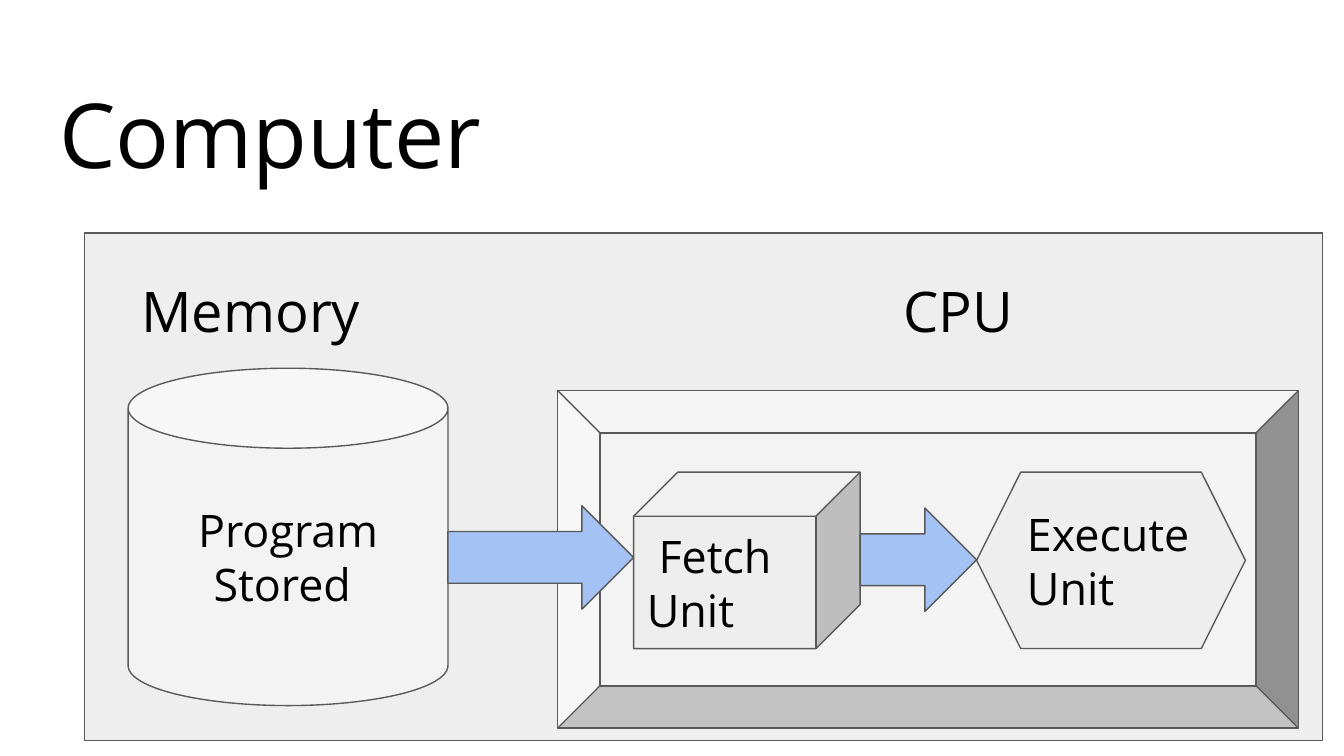
from dataclasses import dataclass

from pptx import Presentation, util as u
from pptx.dml.color import RGBColor
from pptx.enum import shapes, text

CELL = 0.1  # inches per grid column and row
COLOURS = {
    "ink": "000000",
    "outline": "595959",
    "panel": "EEEEEE",
    "light": "F3F3F3",
    "arrow": "A4C2F4",
}
SHAPE = shapes.MSO_SHAPE


@dataclass(frozen=True)
class Area:
    """A place on the slide, in grid columns and rows."""
    column: float
    row: float
    columns: float
    rows: float

    @property
    def right(self) -> float:
        return self.column + self.columns


@dataclass(frozen=True)
class Part:
    kind: SHAPE
    area: Area
    fill: str
    lines: tuple[str, ...] = ()
    align: text.PP_ALIGN = text.PP_ALIGN.LEFT
    first_indent: float = 0


@dataclass(frozen=True)
class Label:
    words: str
    area: Area
    size: int


def cells(count: float) -> u.Length:
    return u.Inches(count * CELL)


def place(area: Area) -> list[u.Length]:
    return [cells(n) for n in (area.column, area.row, area.columns, area.rows)]


def colour(name: str) -> RGBColor:
    return RGBColor.from_string(COLOURS[name])


def write(box, lines: tuple[str, ...], *, size: int = 24,
          align: text.PP_ALIGN = text.PP_ALIGN.LEFT,
          anchor: text.MSO_ANCHOR = text.MSO_ANCHOR.TOP,
          first_indent: float = 0) -> None:
    frame = box.text_frame
    frame.word_wrap = True
    frame.vertical_anchor = anchor
    frame.margin_left = frame.margin_right = cells(1)
    frame.margin_top = frame.margin_bottom = cells(1)
    for index, line in enumerate(lines):
        para = frame.add_paragraph() if index else frame.paragraphs[0]
        para.alignment = align
        if first_indent and not index:
            para._p.get_or_add_pPr().set("indent", str(cells(first_indent)))
        span = para.add_run()
        span.text = line
        span.font.name = "Open Sans"
        span.font.size = u.Pt(size)
        span.font.color.rgb = colour("ink")


def draw_part(page, part: Part) -> None:
    box = page.shapes.add_shape(part.kind, *place(part.area))
    box.shadow.inherit = False
    box.fill.solid()
    box.fill.fore_color.rgb = colour(part.fill)
    box.line.color.rgb = colour("outline")
    box.line.width = u.Pt(0.75)
    if part.lines:
        write(box, part.lines, align=part.align, first_indent=part.first_indent,
              anchor=text.MSO_ANCHOR.MIDDLE)


def draw_label(page, label: Label) -> None:
    box = page.shapes.add_textbox(*place(label.area))
    write(box, (label.words,), size=label.size)


def arrow_between(start: Area, end: Area, row: float) -> Part:
    area = Area(start.right, row, end.column - start.right, 7.7)
    return Part(SHAPE.RIGHT_ARROW, area, "arrow")


MEMORY = Area(9.53, 27.4, 23.8, 25.1)
FETCH = Area(47.15, 35.13, 16.85, 13.13)
EXECUTE = Area(72.67, 35.13, 20, 13.13)

PARTS = (
    Part(SHAPE.RECTANGLE, Area(6.3, 17.35, 92.1, 37.75), "panel"),
    Part(SHAPE.CAN, MEMORY, "light", ("Program Stored ",), text.PP_ALIGN.CENTER),
    Part(SHAPE.BEVEL, Area(41.5, 29.07, 55.1, 25.1), "light"),
    Part(SHAPE.CUBE, FETCH, "panel", ("Fetch", "Unit"), first_indent=0.87),
    Part(SHAPE.HEXAGON, EXECUTE, "panel", ("Execute Unit",)),
    arrow_between(MEMORY, FETCH, 37.63),
    arrow_between(FETCH, EXECUTE, 37.8),
)
LABELS = (
    Label("Computer", Area(3.41, 4.9, 93.2, 13.1), 48),
    Label("Memory", Area(9.53, 19.6, 31.9, 5.5), 30),
    Label("CPU", Area(66.23, 19.6, 13.8, 5.5), 30),
)


def main() -> None:
    deck = Presentation()
    deck.slide_width, deck.slide_height = cells(100), cells(56.25)
    page = deck.slides.add_slide(deck.slide_layouts[6])
    for part in PARTS:
        draw_part(page, part)
    for label in LABELS:
        draw_label(page, label)
    deck.save("out.pptx")


if __name__ == "__main__":
    main()
